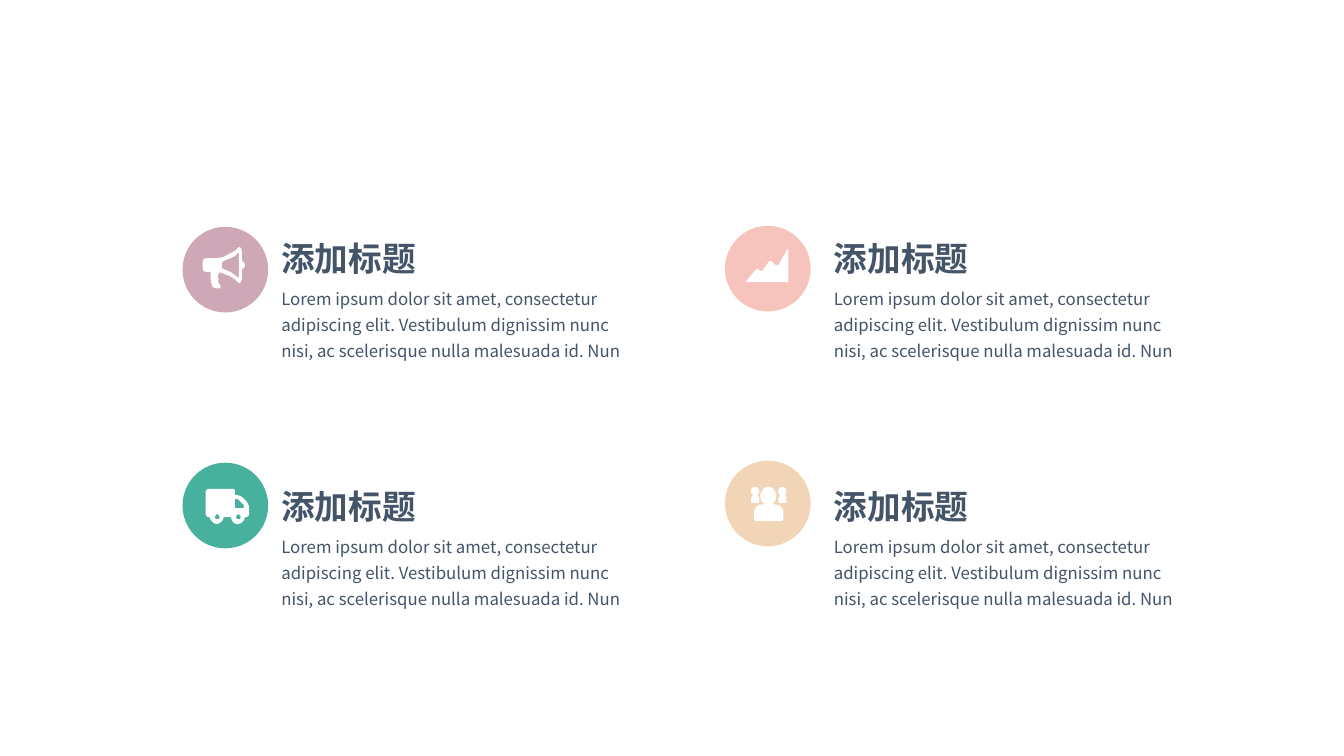
from lxml.etree import SubElement
from pptx import Presentation
from pptx.dml.color import RGBColor
from pptx.enum.shapes import MSO_SHAPE
from pptx.enum.text import MSO_AUTO_SIZE
from pptx.oxml.ns import qn
from pptx.util import Emu, Pt

PX = 9144  # 100 px to the inch
FONT = "Noto Sans CJK SC"
COLORS = {
    "text": "445469",
    "icon": "FFFFFF",
    "mauve": "CEA8B6",
    "pink": "F6C4BC",
    "green": "47B19D",
    "sand": "F2D5B6",
}
HEADING = "添加标题"
BODY = ("Lorem ipsum dolor sit amet, consectetur adipiscing elit. "
        "Vestibulum dignissim nunc nisi, ac scelerisque nulla malesuada id. Nun")
BADGE = 85


def shifted(points, dx):
    return [(x + dx, y) for x, y in points]


# Icon outlines, in px from the top left of the badge
MEGAPHONE = [
    [(62, 38), (61, 41), (59, 42), (59, 52), (58, 55), (56, 56), (52, 52),
     (47, 49), (42, 47), (37, 45), (35, 48), (35, 50), (36, 52), (35, 54),
     (36, 56), (38, 59), (37, 61), (34, 61), (30, 60), (29, 57), (28, 53),
     (28, 45), (24, 45), (21, 44), (20, 41), (20, 35), (21, 32), (24, 31),
     (35, 31), (41, 30), (46, 27), (52, 24), (56, 20), (58, 21), (59, 24),
     (59, 34), (61, 35)],
    [(56, 25), (52, 29), (48, 31), (43, 33), (39, 35), (39, 41), (43, 43),
     (48, 45), (52, 48), (56, 51)],
]
GROWTH = [
    [(62, 23), (53, 39), (50, 39), (46, 35), (44, 35), (37, 45), (36, 45),
     (32, 43), (31, 43), (21, 55), (21, 56), (63, 56), (63, 23)],
]
HUB = [(32, 54), (33, 52), (34, 51), (36, 52), (37, 54), (36, 56), (34, 56),
       (33, 56)]
TRUCK = [
    [(25, 26), (23, 28), (23, 52), (25, 54), (27, 54), (28, 57), (31, 60),
     (34, 61), (37, 60), (40, 57), (41, 54), (48, 54), (49, 57), (51, 60),
     (55, 61), (58, 60), (61, 57), (62, 54), (64, 54), (66, 52), (66, 43),
     (65, 41), (64, 39), (59, 34), (57, 33), (54, 32), (52, 32), (52, 28),
     (51, 26)],
    [(52, 36), (54, 36), (56, 37), (61, 42), (61, 45), (52, 45)],
    HUB,
    shifted(HUB, 21),
]
BYSTANDER = [(28, 34), (26, 32), (26, 29), (27, 27), (30, 26), (33, 27),
             (34, 30), (34, 32), (32, 34), (34, 36), (34, 41), (33, 42),
             (27, 42), (26, 41), (26, 37)]
PEOPLE = [
    BYSTANDER,
    [(39, 43), (36, 40), (35, 35), (36, 31), (39, 27), (43, 26), (47, 27),
     (50, 31), (51, 35), (50, 40), (47, 43), (52, 44), (55, 45), (57, 48),
     (58, 50), (58, 59), (56, 60), (31, 60), (29, 59), (29, 50), (30, 47),
     (32, 45), (34, 44)],
    shifted(BYSTANDER, 27),
]


def paint(shape, color):
    shape.fill.solid()
    shape.fill.fore_color.rgb = RGBColor.from_string(COLORS[color])
    shape.line.fill.background()
    shape.shadow.inherit = False


def add_badge(page, left, top, color, outlines):
    """Coloured disc with a white icon, grouped."""
    group = page.shapes.add_group_shape()
    disc = group.shapes.add_shape(MSO_SHAPE.OVAL, left * PX, top * PX,
                                  BADGE * PX, BADGE * PX)
    paint(disc, color)
    first, *others = outlines
    builder = group.shapes.build_freeform(*first[0], scale=PX)
    builder.add_line_segments(first[1:], close=True)
    for outline in others:
        builder.move_to(*outline[0])
        builder.add_line_segments(outline[1:], close=True)
    paint(builder.convert_to_shape(left * PX, top * PX), "icon")


def add_text(page, left, top, width, height, text, size, bold=False, spacing=None):
    box = page.shapes.add_textbox(left * PX, top * PX, width * PX, height * PX)
    frame = box.text_frame
    frame.word_wrap = True
    frame.auto_size = MSO_AUTO_SIZE.SHAPE_TO_FIT_TEXT
    frame.margin_left = frame.margin_right = Emu(12 * PX)
    frame.margin_top = frame.margin_bottom = Emu(6 * PX)
    frame.text = text
    para = frame.paragraphs[0]
    para.line_spacing = spacing
    span = para.runs[0]
    span.font.size = Pt(size)
    span.font.bold = bold
    span.font.color.rgb = RGBColor.from_string(COLORS["text"])
    span.font.name = FONT
    # Chinese characters take the East Asian font
    SubElement(span.font._element, qn("a:ea"), typeface=FONT)


def add_caption(page, left, top):
    """Heading with its description below."""
    add_text(page, left, top + 44, 362, 115, BODY, 12, spacing=1.3)
    add_text(page, left, top, 181, 53, HEADING, 24, bold=True)


def main():
    deck = Presentation()
    deck.slide_width, deck.slide_height = Emu(1333 * PX), Emu(750 * PX)
    page = deck.slides.add_slide(deck.slide_layouts[6])

    # Badge left, badge top, caption left, caption top, colour, icon
    items = [
        (181, 225, 267, 230, "mauve", MEGAPHONE),
        (719, 224, 815, 230, "pink", GROWTH),
        (181, 459, 267, 476, "green", TRUCK),
        (719, 457, 815, 476, "sand", PEOPLE),
    ]
    for badge_left, badge_top, left, top, color, icon in items:
        add_badge(page, badge_left, badge_top, color, icon)
        add_caption(page, left, top)

    deck.save("out.pptx")


if __name__ == "__main__":
    main()
